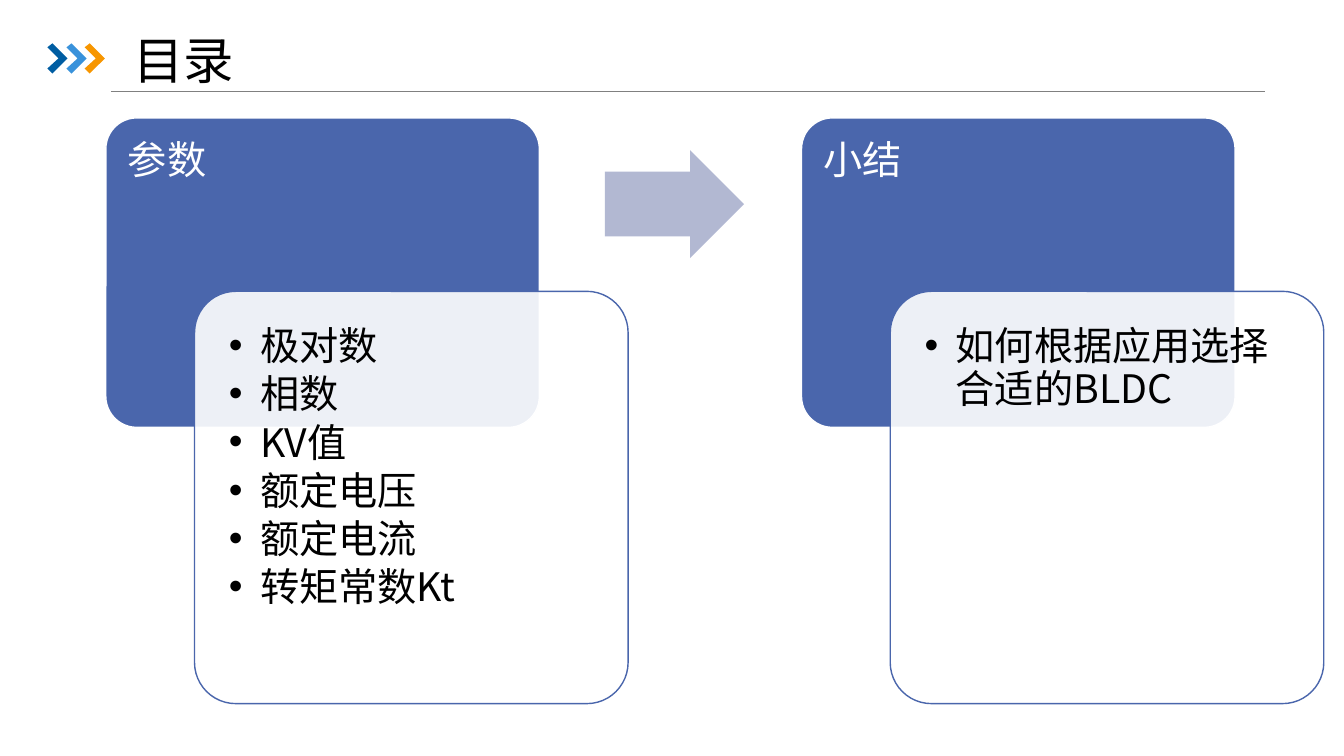
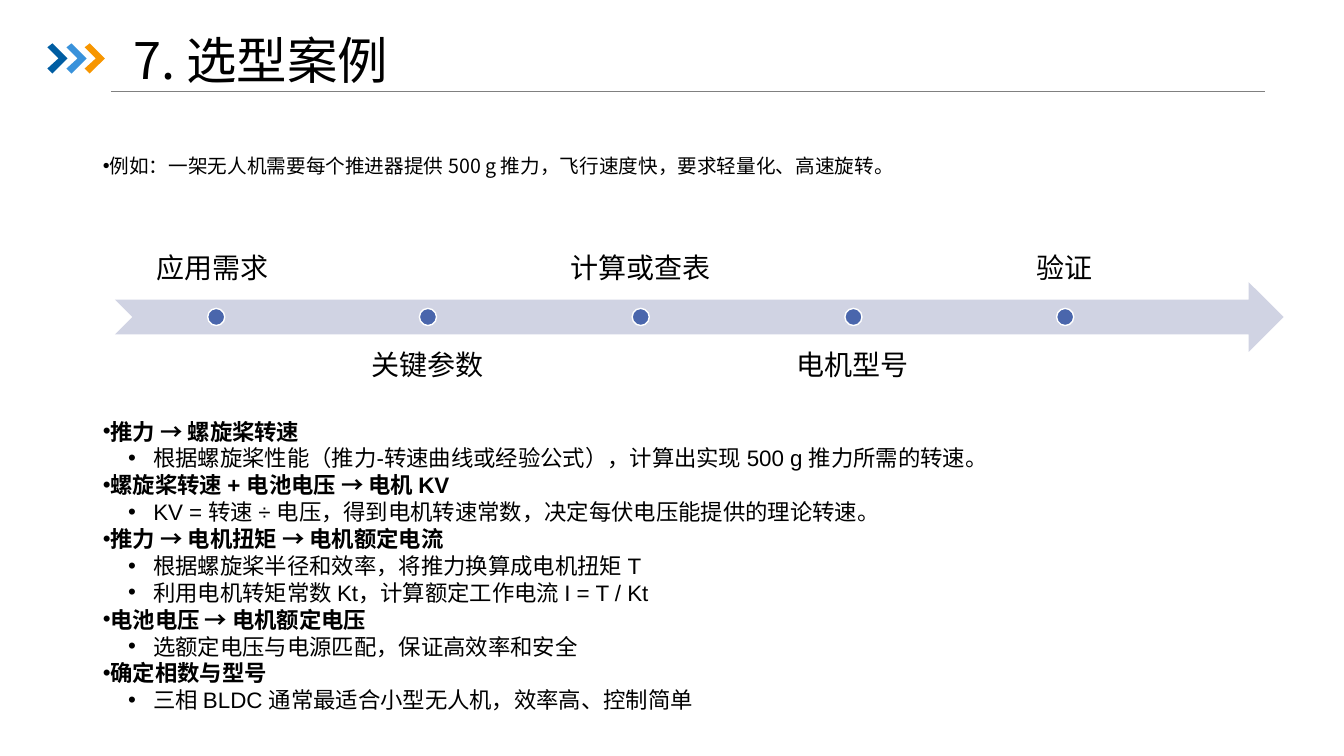
"""Builds the contents slide and the motor selection case slide."""
from lxml import etree
from pptx import Presentation
from pptx.dml.color import RGBColor
from pptx.enum.shapes import MSO_CONNECTOR, MSO_SHAPE
from pptx.enum.text import MSO_ANCHOR, MSO_AUTO_SIZE, PP_ALIGN
from pptx.oxml.ns import qn
from pptx.util import Pt

PX = 9144
CJK, LATIN = "Noto Sans CJK SC", "Arial"
BLACK, WHITE, BLUE, GREY = "000000", "FFFFFF", "4A66AC", "808080"
ARROW_BLUE, TIMELINE_BLUE = "B2B8D2", "D0D3E3"
TOP, MIDDLE, BOTTOM = MSO_ANCHOR.TOP, MSO_ANCHOR.MIDDLE, MSO_ANCHOR.BOTTOM
LEFT, CENTER = PP_ALIGN.LEFT, PP_ALIGN.CENTER
ROUNDED, OVAL = MSO_SHAPE.ROUNDED_RECTANGLE, MSO_SHAPE.OVAL
RIGHT_ARROW, NOTCHED_ARROW = MSO_SHAPE.RIGHT_ARROW, MSO_SHAPE.NOTCHED_RIGHT_ARROW
STRAIGHT, NO_FIT = MSO_CONNECTOR.STRAIGHT, MSO_AUTO_SIZE.NONE

CHEVRONS = [(47, "005DA2"), (66, "3992DB"), (84, "F79600")]
CHEVRON_OUTLINE = [(0, 4), (5, 0), (20, 15), (5, 30), (0, 25), (11, 15)]

CONTENTS_TITLE = "目录"
CHAPTERS = [
    ("参数", ["极对数", "相数", "KV值", "额定电压", "额定电流", "转矩常数Kt"]),
    ("小结", ["如何根据应用选择合适的BLDC"]),
]

CASE_TITLE = "7. 选型案例"
EXAMPLE = "例如：一架无人机需要每个推进器提供 500 g 推力，飞行速度快，要求轻量化、高速旋转。"
STAGES = ["应用需求 ", "关键参数", "计算或查表", "电机型号", "验证"]
STEPS = [
    ("推力 → 螺旋桨转速",
     ["根据螺旋桨性能（推力-转速曲线或经验公式），计算出实现 500 g 推力所需的转速。"]),
    ("螺旋桨转速 + 电池电压 → 电机 KV",
     ["KV = 转速 ÷ 电压，得到电机转速常数，决定每伏电压能提供的理论转速。"]),
    ("推力 → 电机扭矩 → 电机额定电流",
     ["根据螺旋桨半径和效率，将推力换算成电机扭矩 T",
      "利用电机转矩常数 Kt，计算额定工作电流 I = T / Kt"]),
    ("电池电压 → 电机额定电压", ["选额定电压与电源匹配，保证高效率和安全"]),
    ("确定相数与型号", ["三相 BLDC 通常最适合小型无人机，效率高、控制简单"]),
]


def px(*lengths):
    return [round(length) * PX for length in lengths]


def color(value):
    return RGBColor.from_string(value)


def place(shape, box):
    shape.left, shape.top, shape.width, shape.height = px(*box)


def paint(shape, fill, outline=None):
    shape.shadow.inherit = False
    shape.fill.solid()
    shape.fill.fore_color.rgb = color(fill)
    if outline:
        shape.line.color.rgb = color(outline)
        shape.line.width = Pt(1)
    else:
        shape.line.fill.background()


def add_preset(slide, kind, box, fill, outline=None, adjustments=()):
    shape = slide.shapes.add_shape(kind, *px(*box))
    for index, value in enumerate(adjustments):
        shape.adjustments[index] = value
    paint(shape, fill, outline)
    return shape


def set_frame(frame, anchor, inset_x, inset_y):
    frame.word_wrap = True
    frame.auto_size = NO_FIT
    frame.vertical_anchor = anchor
    frame.margin_left = frame.margin_right = inset_x * PX
    frame.margin_top = frame.margin_bottom = inset_y * PX


def format_text(paragraph, size, spacing, ink=BLACK, align=LEFT, font=CJK, bold=False):
    paragraph.alignment = align
    paragraph.line_spacing = spacing
    for run in paragraph.runs:
        run.font.size = Pt(size)
        run.font.name = font
        run.font.bold = bold
        run.font.color.rgb = color(ink)
        etree.SubElement(run._r.get_or_add_rPr(), qn("a:ea")).set("typeface", CJK)


def fill_list(frame, items, size, spacing, font=CJK, after=0):
    """Write items given as (text, level, margin, hanging, bold)."""
    frame.text = "\n".join(item[0] for item in items)
    for paragraph, (_, level, margin, hanging, bold) in zip(frame.paragraphs, items):
        paragraph.level = level
        properties = paragraph._p.get_or_add_pPr()
        properties.set("marL", str(margin * PX))
        properties.set("indent", str(-hanging * PX))
        etree.SubElement(properties, qn("a:buChar")).set("char", "•")
        paragraph.space_before = Pt(0)
        paragraph.space_after = Pt(after)
        format_text(paragraph, size, spacing, font=font, bold=bold)


def start_slide(deck, title):
    slide = deck.slides.add_slide(deck.slide_layouts[3])
    rule = slide.shapes.add_connector(STRAIGHT, *px(110, 91, 1255, 91))
    rule.line.color.rgb = color(GREY)
    rule.line.width = Pt(0.5)
    etree.SubElement(rule._element.spPr, qn("a:effectLst"))
    for left, fill in CHEVRONS:
        outline = [(left + x, 43 + y) for x, y in CHEVRON_OUTLINE]
        builder = slide.shapes.build_freeform(*outline[0], scale=PX)
        builder.add_line_segments(outline[1:], close=True)
        paint(builder.convert_to_shape(), fill)
    heading = slide.shapes.title
    place(heading, (122, 41, 1151, 43))
    set_frame(heading.text_frame, MIDDLE, 10, 5)
    heading.text_frame.text = title
    format_text(heading.text_frame.paragraphs[0], 36, 0.9)
    return slide


def build_contents(deck):
    slide = start_slide(deck, CONTENTS_TITLE)
    for index, (chapter, topics) in enumerate(CHAPTERS):
        left = 105 + 690 * index
        card = add_preset(slide, ROUNDED, (left, 117, 430, 307), BLUE, WHITE, [0.1])
        set_frame(card.text_frame, TOP, 13, 13)
        card.text_frame.text = chapter
        format_text(card.text_frame.paragraphs[0], 28, Pt(30.5), WHITE)

        panel = add_preset(slide, ROUNDED, (left + 88, 289, 430, 409), WHITE, BLUE, [0.1])
        panel_color = panel._element.spPr.find(qn("a:solidFill"))[0]
        etree.SubElement(panel_color, qn("a:alpha")).set("val", "90000")

        topic_list = slide.placeholders[index + 1]
        place(topic_list, (left + 100, 301, 406, 385))
        set_frame(topic_list.text_frame, TOP, 22, 22)
        items = [(topic, 1, 31, 31, False) for topic in topics]
        fill_list(topic_list.text_frame, items, 28, Pt(30.5), after=4)
        slide.shapes._spTree.append(topic_list._element)
    add_preset(slide, RIGHT_ARROW, (600, 149, 138, 107), ARROW_BLUE, None, [0.6, 0.5])


def build_case(deck):
    slide = start_slide(deck, CASE_TITLE)
    add_preset(slide, NOTCHED_ARROW, (114, 280, 1159, 69), TIMELINE_BLUE)
    for index, stage in enumerate(STAGES):
        center = 214 + 210.5 * index
        above = index % 2 == 0
        label = slide.shapes.add_textbox(*px(center - 100, 229 if above else 332, 200, 69))
        set_frame(label.text_frame, BOTTOM if above else TOP, 16, 16)
        label.text_frame.text = stage
        format_text(label.text_frame.paragraphs[0], 20, Pt(22), align=CENTER)
        add_preset(slide, OVAL, (center - 8, 306, 17, 17), BLUE, WHITE)

    example, steps = slide.placeholders[1], slide.placeholders[2]
    place(example, (92, 147, 1124, 34))
    set_frame(example.text_frame, MIDDLE, 10, 5)
    fill_list(example.text_frame, [(EXAMPLE, 0, 0, 0, False)], 14, 1.0)

    place(steps, (92, 408, 984, 306))
    set_frame(steps.text_frame, MIDDLE, 10, 5)
    items = []
    for step, details in STEPS:
        items.append((step, 0, 0, 0, True))
        items += [(detail, 1, 50, 25, False) for detail in details]
    fill_list(steps.text_frame, items, 16, Pt(19.2), font=LATIN)


def main():
    deck = Presentation()
    deck.slide_width, deck.slide_height = px(1333, 750)
    build_contents(deck)
    build_case(deck)
    deck.save("out.pptx")


if __name__ == "__main__":
    main()
